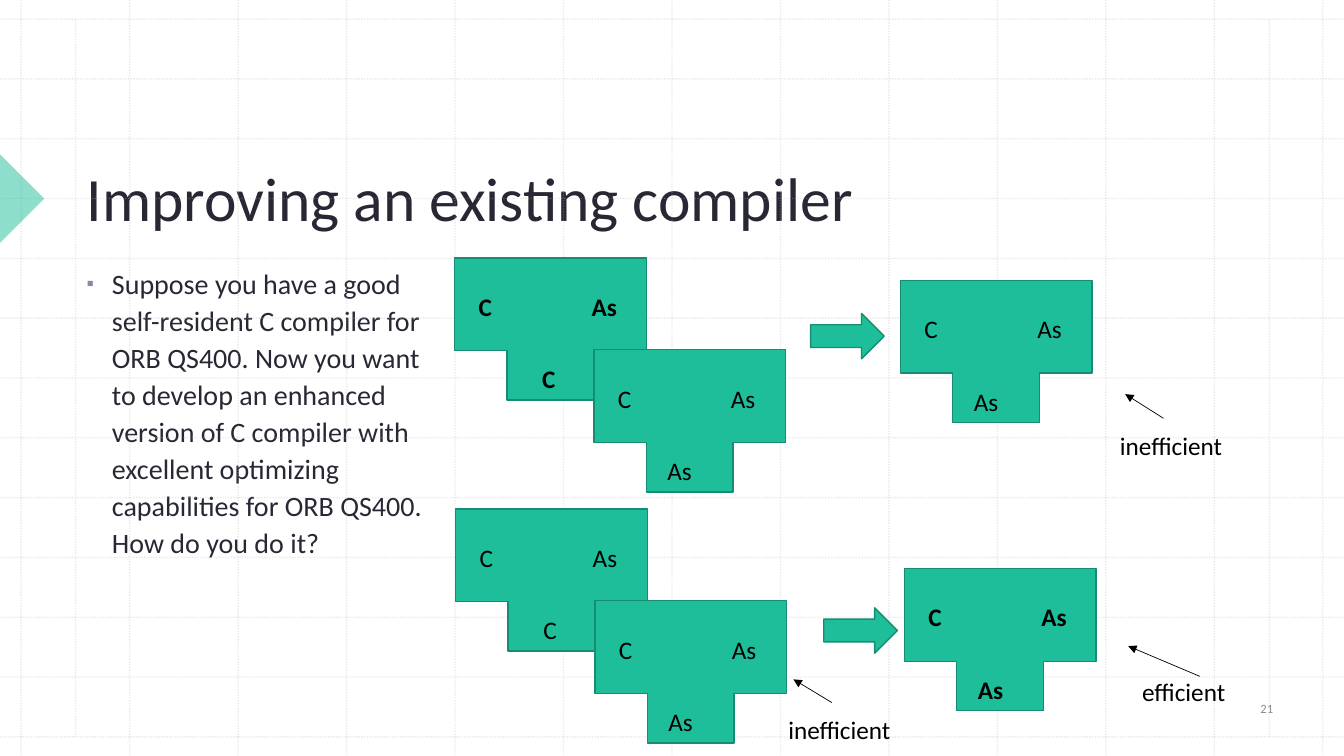
from dataclasses import dataclass

from lxml import etree
from pptx import Presentation
from pptx.dml.color import RGBColor
from pptx.enum.dml import MSO_LINE
from pptx.enum.shapes import MSO_CONNECTOR, MSO_SHAPE
from pptx.enum.text import MSO_ANCHOR, MSO_AUTO_SIZE, PP_ALIGN
from pptx.oxml.ns import qn
from pptx.util import Inches, Pt

STRAIGHT = MSO_CONNECTOR.STRAIGHT
RIGHT_ARROW, RIGHT_TRIANGLE = MSO_SHAPE.RIGHT_ARROW, MSO_SHAPE.RIGHT_TRIANGLE
DOTTED = MSO_LINE.ROUND_DOT
TOP, MIDDLE, BOTTOM = MSO_ANCHOR.TOP, MSO_ANCHOR.MIDDLE, MSO_ANCHOR.BOTTOM
LEFT, CENTER = PP_ALIGN.LEFT, PP_ALIGN.CENTER
NO_AUTOFIT, GROW = MSO_AUTO_SIZE.NONE, MSO_AUTO_SIZE.SHAPE_TO_FIT_TEXT
SLIDE_W, SLIDE_H = 13.33, 7.5


@dataclass(frozen=True)
class Theme:
    font: str = "Calibri"
    accent: str = "1EBE9B"
    outline: str = "168D73"
    heading: str = "2A2735"
    bullet: str = "8D87A6"
    label: str = "000000"
    number: str = "8C8C8C"
    grid: str = "BCBCBC"
    title_size: int = 44
    body_size: int = 20
    label_size: int = 18
    number_size: int = 9


@dataclass(frozen=True)
class TDiagram:
    x: float
    y: float
    implementation: str
    bold: bool = False


@dataclass(frozen=True)
class Note:
    text: str
    x: float
    y: float
    start: tuple[float, float]
    end: tuple[float, float]
    wrap: bool = False


THEME = Theme()
T_OUTLINE = [(0, 0), (1.9, 0), (1.9, 0.92), (1.38, 0.92),
             (1.38, 1.41), (0.52, 1.41), (0.52, 0.92), (0, 0.92)]
LABEL_W = {"C": 0.36, "As": 0.49}
LABEL_H = 0.4
IMPLEMENTATION_X = {"C": 0.77, "As": 0.63}

DIAGRAMS = [
    TDiagram(4.51, 2.56, "C", True),
    TDiagram(5.89, 3.47, "As"),
    TDiagram(8.93, 2.78, "As"),
    TDiagram(4.52, 5.05, "C"),
    TDiagram(5.9, 5.96, "As"),
    TDiagram(8.97, 5.64, "As", True),
]
BLOCK_ARROWS = [(8.04, 3.11), (8.17, 6.03)]
NOTES = [
    Note("inefficient", 11.01, 4.22, (11.54, 4.15), (11.16, 3.91)),
    Note("inefficient", 7.72, 7.04, (8.25, 6.97), (7.87, 6.74)),
    Note("efficient", 11.23, 6.66, (11.9, 6.71), (11.19, 6.41), True),
]


def box(*lengths: float) -> list:
    return [Inches(v) for v in lengths]


def set_alpha(fill, percent: int) -> None:
    color = fill._xPr.find(".//" + qn("a:srgbClr"))
    etree.SubElement(color, qn("a:alpha"), val=str(percent * 1000))


def write(sp, text: str, size: int, color: str, bold: bool = False,
          align=LEFT, **frame_format):
    """Fill a text shape with one formatted paragraph."""
    tf = sp.text_frame
    for name, value in frame_format.items():
        setattr(tf, name, value)
    p = tf.paragraphs[0]
    p.alignment = align
    r = p.add_run()
    r.text = text
    for name, value in {"name": THEME.font, "size": Pt(size), "bold": bold}.items():
        setattr(r.font, name, value)
    r.font.color.rgb = RGBColor.from_string(color)
    return p


def add_label(shapes, text: str, x: float, y: float, width: float,
              bold: bool = False, wrap: bool = False) -> None:
    sp = shapes.add_textbox(*box(x, y, width, LABEL_H))
    write(sp, text, THEME.label_size, THEME.label, bold, word_wrap=wrap, auto_size=GROW)


def add_line(shapes, start: tuple, end: tuple, color: str, width: float):
    line = shapes.add_connector(STRAIGHT, *box(*start, *end))
    line.line.color.rgb = RGBColor.from_string(color)
    line.line.width = Pt(width)
    etree.SubElement(line._element.spPr, qn("a:effectLst"))
    return line


def paint(sp) -> None:
    sp.shadow.inherit = False
    sp.fill.solid()
    sp.fill.fore_color.rgb = RGBColor.from_string(THEME.accent)
    sp.line.color.rgb = RGBColor.from_string(THEME.outline)
    sp.line.width = Pt(1)


def add_grid(s) -> None:
    left, right, top, bottom, gaps = 0.21, 13.12, 0.19, 7.31, 12
    columns = [left + i * (right - left) / gaps for i in range(gaps + 1)]
    rows = [top + i * (bottom - top) / gaps for i in range(gaps + 1)]
    ends = [((x, 0), (x, SLIDE_H)) for x in columns]
    ends += [((0, y), (SLIDE_W, y)) for y in rows]
    ends += [((x, top), (x, bottom)) for x in (0.75, 12.59)]
    grid = s.shapes.add_group_shape()
    for start, end in ends:
        line = add_line(grid.shapes, start, end, THEME.grid, 1).line
        line.dash_style = DOTTED
        set_alpha(line.fill, 30)


def add_marker(s) -> None:
    sp = s.shapes.add_shape(RIGHT_TRIANGLE, *box(-0.31, 1.66, 0.62, 0.62))
    paint(sp)
    sp.rotation = 225
    sp.line.fill.background()
    set_alpha(sp.fill, 50)


def add_diagram(s, d: TDiagram) -> None:
    group = s.shapes.add_group_shape().shapes
    points = [box(d.x + dx, d.y + dy) for dx, dy in T_OUTLINE]
    builder = group.build_freeform(*points[0])
    builder.add_line_segments(points[1:], close=True)
    paint(builder.convert_to_shape())
    labels = [("C", 0.14, 0.28), ("As", 1.26, 0.28),
              (d.implementation, IMPLEMENTATION_X[d.implementation], 1.0)]
    for text, dx, dy in labels:
        add_label(group, text, d.x + dx, d.y + dy, LABEL_W[text], d.bold)


def add_note(s, note: Note) -> None:
    line = add_line(s.shapes, note.start, note.end, THEME.label, 0.5)
    etree.SubElement(line.line._get_or_add_ln(), qn("a:tailEnd"), type="triangle")
    add_label(s.shapes, note.text, note.x, note.y, 1.32, wrap=note.wrap)


def place(sp, *lengths: float) -> None:
    for name, value in zip(("left", "top", "width", "height"), box(*lengths)):
        setattr(sp, name, value)


def add_text(s) -> None:
    title, body = s.shapes.title, s.placeholders[1]
    place(title, 0.76, 0.79, 11.29, 1.58)
    write(title, "Improving an existing compiler", THEME.title_size, THEME.heading,
          vertical_anchor=BOTTOM, word_wrap=True, auto_size=NO_AUTOFIT)

    place(body, 0.76, 2.56, 3.58, 3.9)
    p = write(body, "Suppose you have a good self-resident C compiler for ORB QS400. "
              "Now you want to develop an enhanced version of C compiler with excellent "
              "optimizing capabilities for ORB QS400. How do you do it?",
              THEME.body_size, THEME.heading,
              vertical_anchor=TOP, word_wrap=True, auto_size=NO_AUTOFIT)
    p.line_spacing, p.space_before = 1.1, Pt(10)
    pPr = p._p.get_or_add_pPr()
    pPr.set("marL", str(Inches(0.25)))
    pPr.set("indent", str(Inches(-0.25)))
    color = etree.SubElement(pPr, qn("a:buClr"))
    etree.SubElement(color, qn("a:srgbClr"), val=THEME.bullet)
    etree.SubElement(pPr, qn("a:buSzPct"), val="75000")
    etree.SubElement(pPr, qn("a:buChar"), char="▪")

    number = s.shapes.add_textbox(*box(12.03, 6.8, 1.07, 0.46))
    write(number, "21", THEME.number_size, THEME.number, align=CENTER,
          vertical_anchor=MIDDLE, word_wrap=True)


def main() -> None:
    prs = Presentation()
    prs.slide_width, prs.slide_height = box(SLIDE_W, SLIDE_H)
    s = prs.slides.add_slide(prs.slide_layouts[1])

    # Background and text
    add_grid(s)
    add_marker(s)
    add_text(s)

    # Compiler diagrams
    for diagram in DIAGRAMS:
        add_diagram(s, diagram)
    for x, y in BLOCK_ARROWS:
        paint(s.shapes.add_shape(RIGHT_ARROW, *box(x, y, 0.73, 0.45)))

    # Efficiency notes
    for note in NOTES:
        add_note(s, note)

    prs.save("out.pptx")


if __name__ == "__main__":
    main()
